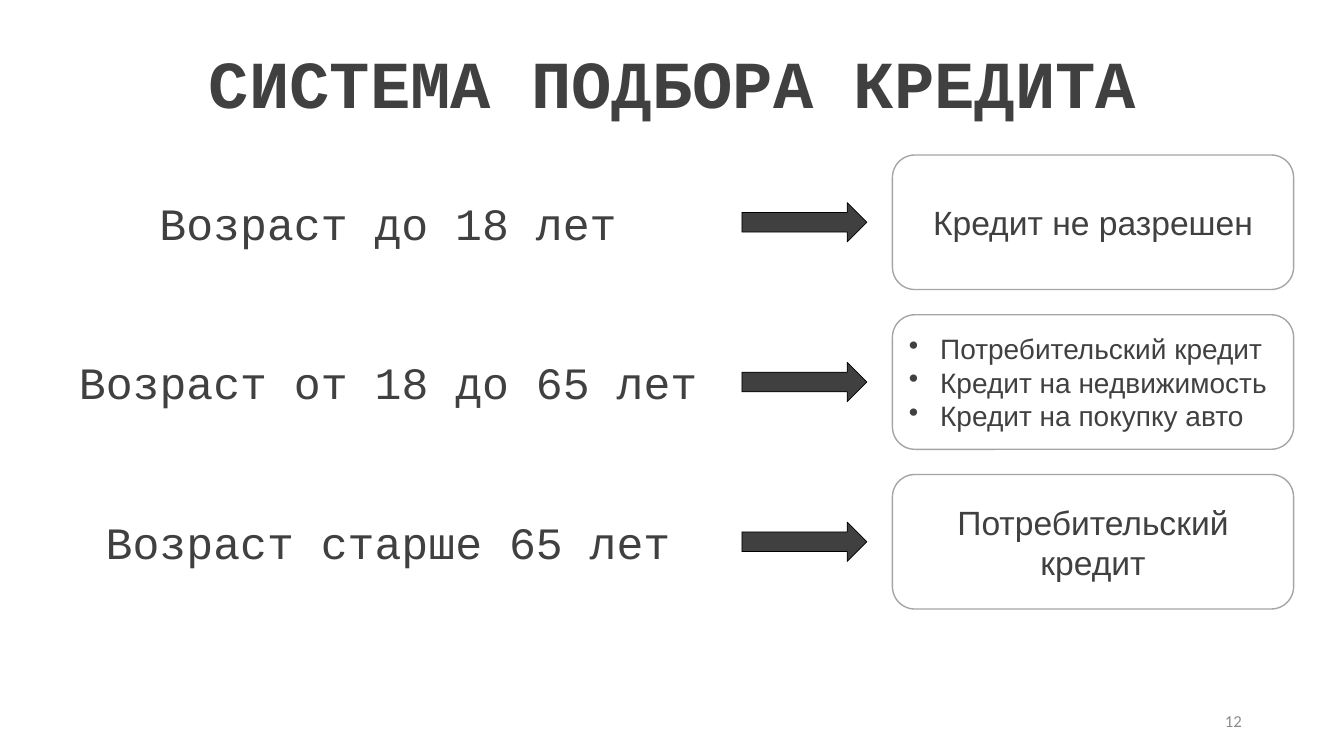
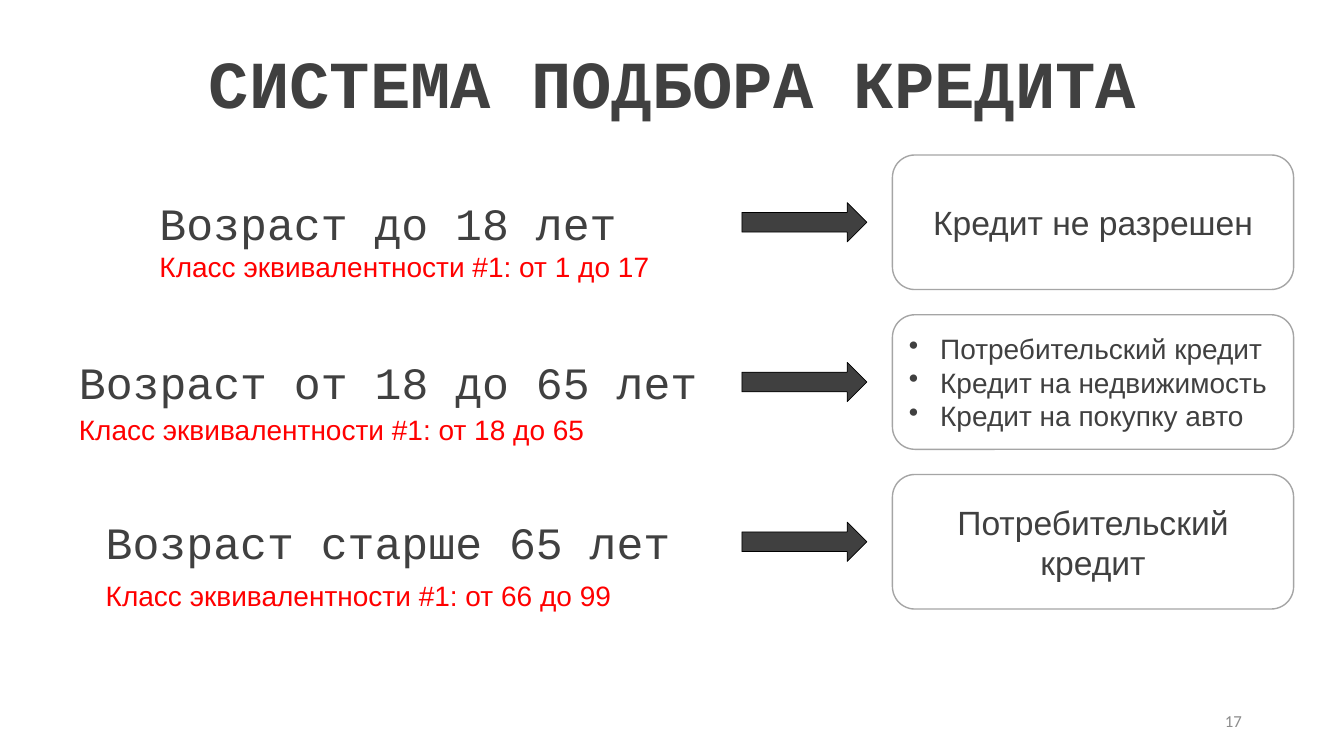
import pptx
import pptx.util
import pptx.dml.color
import pptx.enum.shapes
import pptx.enum.text
import lxml.etree
from dataclasses import dataclass

Pt = pptx.util.Pt
Shape = pptx.enum.shapes.MSO_SHAPE
Align = pptx.enum.text.PP_ALIGN
Anchor = pptx.enum.text.MSO_ANCHOR


@dataclass(frozen=True)
class Theme:
    dark: str = "404040"
    edge: str = "A5A5A5"
    white: str = "FFFFFF"
    black: str = "000000"
    red: str = "FF0000"
    gray: str = "8C8C8C"
    mono: str = "Courier New"
    sans: str = "Arial"
    foot: str = "Calibri"
    head: int = 48
    rule: int = 32
    card: int = 24
    list: int = 20
    page: int = 12


theme = Theme()
color = pptx.dml.color.RGBColor.from_string

deck = pptx.Presentation()
deck.slide_width = pptx.util.Inches(13.33)
deck.slide_height = pptx.util.Inches(7.5)

# Grid of 100 columns by 100 rows
col = deck.slide_width / 100
row = deck.slide_height / 100


def place(shape, left, top, width, height):
    shape.left, shape.top = round(left * col), round(top * row)
    shape.width, shape.height = round(width * col), round(height * row)
    return shape


def write(shape, lines, font, size, tint, align=Align.LEFT,
          anchor=Anchor.TOP, wrap=False, bold=False, bullet=False):
    frame = shape.text_frame
    frame.text = "\n".join(lines)
    frame.word_wrap = wrap
    frame.auto_size = pptx.enum.text.MSO_AUTO_SIZE.NONE
    frame.vertical_anchor = anchor
    for para in frame.paragraphs:
        para.alignment = align
        if bullet:
            props = para._p.get_or_add_pPr()
            indent = pptx.util.Inches(0.31)
            props.set("marL", str(indent))
            props.set("indent", str(-indent))
            tag = pptx.oxml.ns.qn("a:buChar")
            lxml.etree.SubElement(props, tag).set("char", "•")
        para.font.name = font
        para.font.size = Pt(size)
        para.font.bold = bold
        para.font.color.rgb = color(tint)


# Rules: condition, outcome lines, class range, rows down to the class note
rules = [
    ("Возраст до 18 лет", ["Кредит не разрешен"], "от 1 до 17", 7.2),
    ("Возраст от 18 до 65 лет",
     ["Потребительский кредит", "Кредит на недвижимость",
      "Кредит на покупку авто"], "от 18 до 65", 7.6),
    ("Возраст старше 65 лет", ["Потребительский кредит"], "от 66 до 99", 8.5),
]
first, pitch = 20.5, 21.13
tall, thin = 17.8, 5.2
mid, inset, glyph = 28.88, 0.75, 2

for page, noted in ((12, False), (17, True)):
    slide = deck.slides.add_slide(deck.slide_layouts.get_by_name("Title Only"))
    shapes = slide.shapes

    # Title
    title = place(shapes.title, 14.5, 4.8, 71.1, 12.1)
    write(title, ["СИСТЕМА ПОДБОРА КРЕДИТА"], theme.mono, theme.head,
          theme.dark, align=Align.CENTER, bold=True)

    # Page number
    box = place(shapes.add_textbox(0, 0, 0, 0), 70.65, 92.67, 22.5, 5.33)
    write(box, [str(page)], theme.foot, theme.page, theme.gray,
          align=Align.RIGHT, anchor=Anchor.MIDDLE)

    for index, (rule, result, span, drop) in enumerate(rules):
        top = first + index * pitch

        # Condition, centred on the left part by its length
        width = len(rule) * glyph + 2 * inset
        left = mid - width / 2
        box = place(shapes.add_textbox(0, 0, 0, 0),
                    left, top + 4.67, width, 8.5)
        write(box, [rule], theme.mono, theme.rule, theme.dark)

        # Arrow
        arrow = place(shapes.add_shape(Shape.RIGHT_ARROW, 0, 0, 0, 0),
                      55.2, top + (tall - thin) / 2, 9.3, thin)

        # Outcome card
        card = place(shapes.add_shape(Shape.ROUNDED_RECTANGLE, 0, 0, 0, 0),
                     66.4, top, 29.85, tall)
        many = len(result) > 1
        write(card, result, theme.sans, theme.list if many else theme.card,
              theme.dark, align=Align.LEFT if many else Align.CENTER,
              anchor=Anchor.MIDDLE, wrap=True, bullet=many)

        for shape, fill, line, weight in (
                (arrow, theme.dark, theme.black, 0.5),
                (card, theme.white, theme.edge, 1)):
            shape.shadow.inherit = False
            shape.fill.solid()
            shape.fill.fore_color.rgb = color(fill)
            shape.line.color.rgb = color(line)
            shape.line.width = Pt(weight)

        # Equivalence class
        if noted:
            box = place(shapes.add_textbox(0, 0, 0, 0),
                        left, top + 4.67 + drop, 39.4, 5.87)
            write(box, [f"Класс эквивалентности #1: {span}"],
                  theme.sans, theme.list, theme.red)

deck.save("out.pptx")
